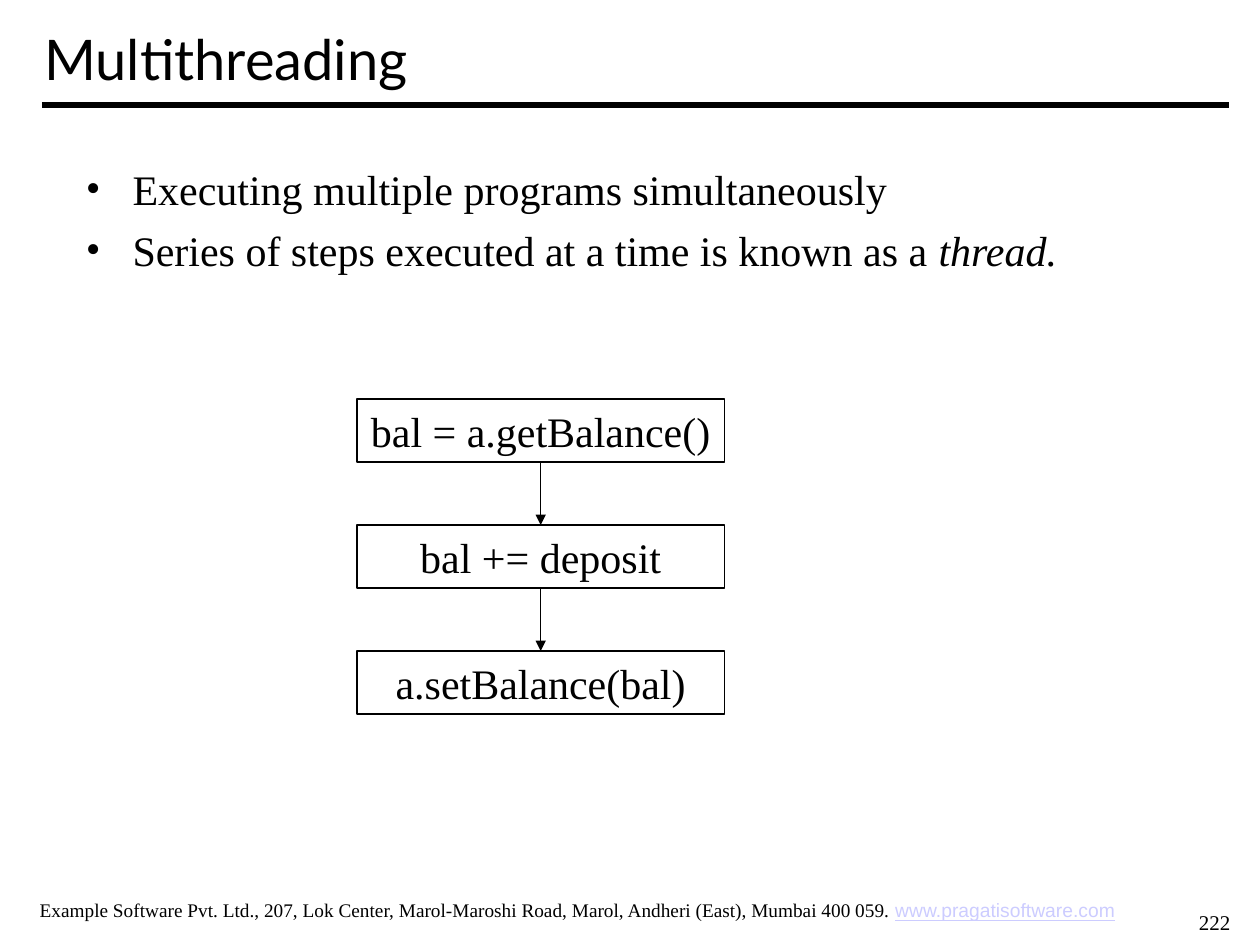
from lxml import etree
from pptx import Presentation
from pptx.dml.color import RGBColor
from pptx.enum.shapes import MSO_CONNECTOR, MSO_SHAPE
from pptx.enum.text import MSO_ANCHOR, MSO_AUTO_SIZE, PP_ALIGN
from pptx.oxml.ns import qn
from pptx.util import Inches, Pt

LEFT, CENTER = PP_ALIGN.LEFT, PP_ALIGN.CENTER
TOP, MIDDLE = MSO_ANCHOR.TOP, MSO_ANCHOR.MIDDLE
NO_FIT = MSO_AUTO_SIZE.NONE
RECT, STRAIGHT = MSO_SHAPE.RECTANGLE, MSO_CONNECTOR.STRAIGHT
BOTTOM_SIDE, TOP_SIDE = 2, 0
COLUMNS, ROWS = 120, 90


def rgb(value):
    return RGBColor.from_string(value)


class SlideBuilder:
    ink, paper, link = "000000", "FFFFFF", "CCCCFF"
    serif, sans, heading = "Times New Roman", "Arial", "Lato"

    def __init__(self, prs):
        self.slide = prs.slides.add_slide(prs.slide_layouts[5])
        self.cell_w = prs.slide_width / COLUMNS
        self.cell_h = prs.slide_height / ROWS

    def grid(self, col, row, *size):
        """Turn columns and rows into slide lengths."""
        units = (self.cell_w, self.cell_h) * 2
        return [round(n * u) for n, u in zip((col, row, *size), units)]

    def frame(self, sp, anchor):
        tf = sp.text_frame
        settings = {"word_wrap": True, "auto_size": NO_FIT, "vertical_anchor": anchor}
        for name, value in settings.items():
            setattr(tf, name, value)
        return tf

    def add_runs(self, p, runs, align=LEFT, **base):
        """Fill a paragraph with (text, format) runs over a base format."""
        p.alignment = align
        for text, extra in runs:
            r = p.add_run()
            r.text = text
            style = {"name": self.serif, "color": self.ink, **base, **extra}
            r.font.color.rgb = rgb(style.pop("color"))
            for name, value in style.items():
                setattr(r.font, name, value)

    def title(self, text, *area):
        sp = self.slide.shapes.title
        sp.left, sp.top, sp.width, sp.height = self.grid(*area)
        tf = self.frame(sp, MIDDLE)
        self.add_runs(tf.paragraphs[0], [(text, {})], name=self.heading, size=Pt(32))

    def text(self, runs, *area, **style):
        tf = self.frame(self.slide.shapes.add_textbox(*self.grid(*area)), TOP)
        self.add_runs(tf.paragraphs[0], runs, **style)

    def bullets(self, items, *area):
        tf = self.frame(self.slide.shapes.add_textbox(*self.grid(*area)), TOP)
        indent = Inches(0.37)
        for i, runs in enumerate(items):
            p = tf.add_paragraph() if i else tf.paragraphs[0]
            if i:
                p.space_before = Pt(6)
            pPr = p._p.get_or_add_pPr()
            pPr.set("marL", str(indent))
            pPr.set("indent", str(-indent))
            etree.SubElement(pPr, qn("a:buFont")).set("typeface", self.serif)
            etree.SubElement(pPr, qn("a:buChar")).set("char", "•")
            self.add_runs(p, runs, size=Pt(24))

    def box(self, text, *area):
        sp = self.slide.shapes.add_shape(RECT, *self.grid(*area))
        sp.shadow.inherit = False
        sp.fill.solid()
        sp.fill.fore_color.rgb = rgb(self.paper)
        sp.line.color.rgb = rgb(self.ink)
        sp.line.width = Pt(0.75)
        tf = self.frame(sp, MIDDLE)
        self.add_runs(tf.paragraphs[0], [(text, {})], CENTER, size=Pt(24))
        return sp

    def line(self, start, end, width):
        ends = self.grid(*start) + self.grid(*end)
        cxn = self.slide.shapes.add_connector(STRAIGHT, *ends)
        cxn.line.color.rgb = rgb(self.ink)
        cxn.line.width = Pt(width)
        etree.SubElement(cxn._element.spPr, qn("a:effectLst"))
        return cxn

    def arrow(self, upper, lower):
        """Point from the bottom of one box to the top of the next."""
        cxn = self.line((0, 0), (0, 0), 0.75)
        cxn.begin_connect(upper, BOTTOM_SIDE)
        cxn.end_connect(lower, TOP_SIDE)
        etree.SubElement(cxn.line._get_or_add_ln(), qn("a:tailEnd")).set("type", "triangle")


def main():
    prs = Presentation()
    prs.slide_width, prs.slide_height = Inches(10), Inches(7.5)
    s = SlideBuilder(prs)

    s.title("Multithreading", 3, 0, 114, 11)
    s.line((4, 10), (117, 10), 3)
    s.bullets([
        [("Executing multiple programs simultaneously", {})],
        [("Series of steps executed at a time is known as a ", {}),
         ("thread.", {"italic": True})],
    ], 7, 15, 106, 16)

    steps = ["bal = a.getBalance()", "bal += deposit", "a.setBalance(bal)"]
    boxes = [s.box(step, 34, 38 + 12 * i, 35, 6) for i, step in enumerate(steps)]
    for upper, lower in zip(boxes, boxes[1:]):
        s.arrow(upper, lower)

    address = ("Example Software Pvt. Ltd., 207, Lok Center, Marol-Maroshi Road, "
               "Marol, Andheri (East), Mumbai 400 059. ")
    site = {"name": s.sans, "color": s.link, "underline": True}
    s.text([(address, {}), ("www.pragatisoftware.com", site)],
           0, 85, 110, 3.5, align=CENTER, size=Pt(11))
    s.text([("222", {})], 113, 86, 6.5, 3.6, size=Pt(12))

    prs.save("out.pptx")


if __name__ == "__main__":
    main()
